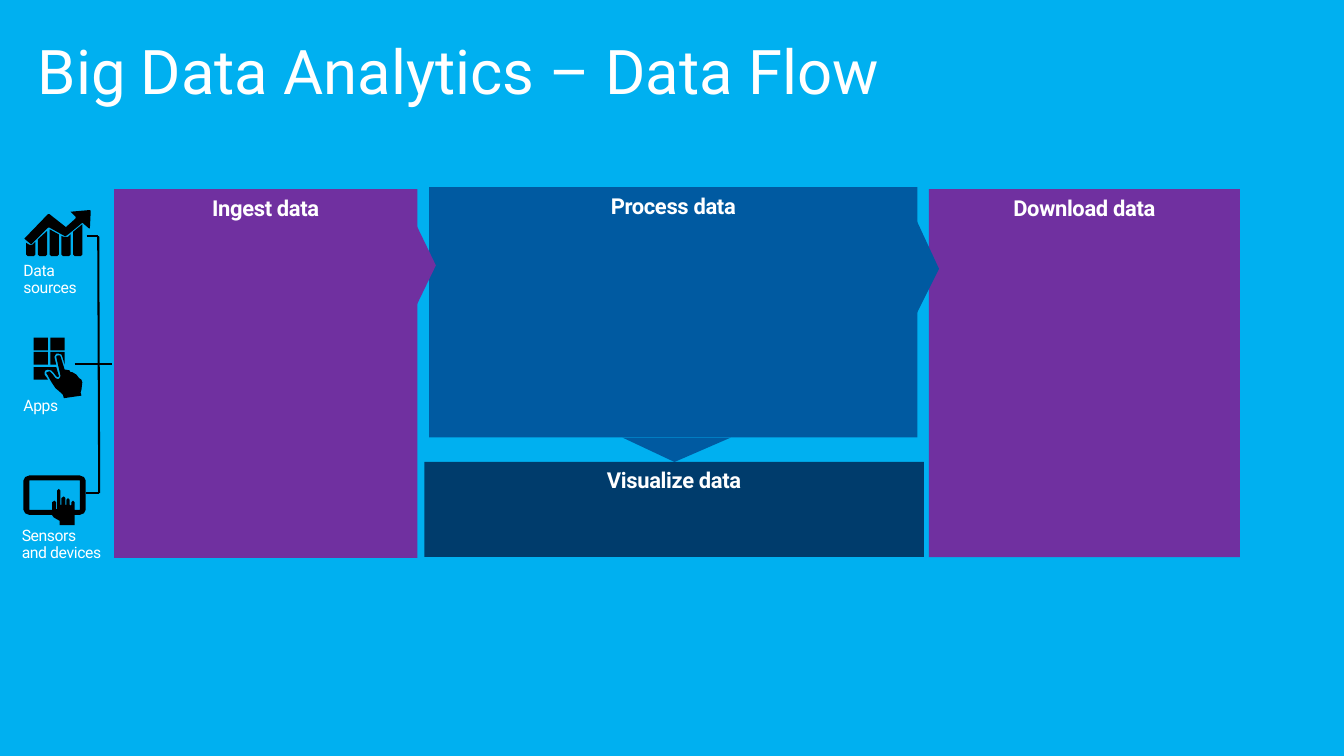
"""Build the big data analytics data flow slide."""
import copy

import pptx
import pptx.dml.color
import pptx.enum.shapes
import pptx.enum.text
import pptx.oxml
import pptx.oxml.ns
import pptx.util

Cm = pptx.util.Cm
Pt = pptx.util.Pt
SHAPES = pptx.enum.shapes.MSO_SHAPE
ANCHOR = pptx.enum.text.MSO_ANCHOR
ALIGN = pptx.enum.text.PP_ALIGN

COLORS = {
    "background": "00B0F0",
    "purple": "7030A0",
    "blue": "005AA1",
    "navy": "003C6C",
    "white": "FFFFFF",
    "black": "000000",
}

TITLE = {
    "font": {"size": Pt(52.8)},
    "paragraph": {"line_spacing": 0.9},
    "frame": {"word_wrap": True, "vertical_anchor": ANCHOR.MIDDLE},
}
HEADING = {
    "font": {"size": Pt(18.8), "bold": True},
    "paragraph": {"alignment": ALIGN.CENTER},
    "frame": {
        "word_wrap": True, "vertical_anchor": ANCHOR.TOP,
        "margin_left": Cm(0.05), "margin_right": Cm(0.05),
        "margin_top": Cm(0.15), "margin_bottom": Cm(0.3),
    },
    "spacing": "-30",
}
LABEL = {
    "font": {"size": Pt(13.5)},
    "paragraph": {"line_spacing": 0.9, "space_after": Pt(7.1)},
    "frame": {
        "word_wrap": True,
        "auto_size": pptx.enum.text.MSO_AUTO_SIZE.SHAPE_TO_FIT_TEXT,
        "margin_left": Cm(0.61), "margin_right": Cm(0.61),
        "margin_top": Cm(0.48), "margin_bottom": Cm(0.48),
    },
    "spacing": "-30",
}

LABELS = [
    ("Data\vsources", (0.1, 7.47, 4.04, 2.01)),
    ("Apps", (0.1, 11.76, 4.04, 1.47)),
    ("Sensors\vand devices", (0.05, 15.47, 5.08, 2.01)),
]
LINES = [
    (2.97, 7.14, 3, 14.91),
    (2.62, 7.14, 2.95, 7.14),
    (2.26, 11.02, 3.38, 11.02),
    (2.59, 14.91, 3, 14.91),
]

ICON_SCALE = Cm(2.54) / 100
BAR_TOPS = [
    [(42, 288), (39, 291), (37, 292), (34, 291), (31, 289)],
    [(56, 275), (45, 285)],
    [(70, 279), (59, 273)],
    [(84, 279), (81, 282), (78, 282), (76, 282), (73, 281)],
    [(98, 267), (87, 276)],
]
TREND_ARROW = [
    (107, 250), (85, 252), (84, 252), (90, 258), (90, 260), (80, 269),
    (79, 270), (78, 270), (59, 255), (57, 255), (30, 283), (29, 284),
    (30, 285), (36, 290), (37, 291), (38, 290), (57, 271), (58, 271),
    (59, 271), (77, 281), (78, 281), (80, 280), (97, 266), (98, 265),
    (99, 266), (106, 272), (107, 272), (108, 251),
]
APP_HAND = [
    (86, 443), (84, 443), (83, 441), (78, 440), (77, 440), (72, 424),
    (71, 423), (69, 423), (67, 424), (67, 425), (72, 447), (72, 448),
    (71, 450), (70, 451), (68, 451), (66, 450), (63, 446), (61, 444),
    (59, 442), (56, 443), (55, 444), (57, 447), (59, 451), (62, 456),
    (66, 462), (73, 468), (75, 470), (76, 474), (97, 471), (96, 467),
    (97, 464), (98, 455), (97, 452), (94, 450), (91, 446),
]
CUT_KEYS = [
    [(67, 434), (60, 434), (60, 419), (77, 419), (77, 434), (74, 424),
     (73, 422), (70, 421), (67, 421), (65, 424), (65, 426)],
    [(57, 452), (40, 452), (40, 437), (67, 437), (70, 447), (70, 448),
     (69, 449), (67, 448), (64, 444), (61, 441), (57, 440), (54, 441),
     (53, 443), (53, 446), (56, 450)],
]
TABLET = [
    (95, 566), (35, 566), (30, 568), (28, 572), (28, 607), (30, 611),
    (35, 613), (62, 613), (64, 616), (71, 620), (71, 625), (89, 625),
    (89, 613), (95, 613), (100, 611), (102, 607), (102, 572), (100, 568),
]
SCREEN = [
    (95, 607), (89, 607), (89, 598), (87, 596), (85, 598), (85, 601),
    (84, 602), (83, 601), (83, 595), (81, 593), (79, 595), (79, 601),
    (78, 601), (78, 593), (76, 591), (73, 593), (73, 601), (72, 601),
    (72, 584), (70, 582), (68, 584), (68, 606), (67, 606), (67, 598),
    (65, 596), (62, 598), (62, 607), (35, 607), (35, 572), (95, 572),
]


def color(name):
    """Return the named colour."""
    return pptx.dml.color.RGBColor.from_string(COLORS[name])


def apply(target, values):
    """Set each attribute in values on the target."""
    for name, value in values.items():
        setattr(target, name, value)


def paint(shape, fill_name):
    """Give the shape a flat fill without line or shadow."""
    shape.shadow.inherit = False
    shape.fill.solid()
    shape.fill.fore_color.rgb = color(fill_name)
    shape.line.fill.background()


def write(shape, text, style):
    """Write one formatted paragraph into the shape."""
    apply(shape.text_frame, style["frame"])
    paragraph = shape.text_frame.paragraphs[0]
    paragraph.text = text
    apply(paragraph, style["paragraph"])
    for run in paragraph.runs:
        apply(run.font, {"name": "Roboto", **style["font"]})
        run.font.color.rgb = color("white")
        properties = run._r.get_or_add_rPr()
        properties.set("spc", style.get("spacing", "0"))
    for line_break in paragraph._p.findall(pptx.oxml.ns.qn("a:br")):
        line_break.append(copy.deepcopy(properties))


def add_text(slide, text, box, style):
    """Add a text box."""
    write(slide.shapes.add_textbox(*map(Cm, box)), text, style)


def add_panel(slide, text, box, fill_name):
    """Add a filled rectangle with a heading."""
    panel = slide.shapes.add_shape(SHAPES.RECTANGLE, *map(Cm, box))
    paint(panel, fill_name)
    write(panel, text, HEADING)


def add_pointer(slide, box, rotation, fill_name, peak=0.5):
    """Add a triangle that points to the next panel."""
    pointer = slide.shapes.add_shape(SHAPES.ISOSCELES_TRIANGLE, *map(Cm, box))
    pointer.adjustments[0] = peak
    pointer.rotation = rotation
    paint(pointer, fill_name)


def add_line(slide, ends):
    """Add a straight black line."""
    line = slide.shapes.add_connector(
        pptx.enum.shapes.MSO_CONNECTOR.STRAIGHT, *map(Cm, ends))
    line.line.color.rgb = color("black")
    line.line.width = Pt(1.75)
    line._element.spPr.append(pptx.oxml.parse_xml(
        f'<a:effectLst {pptx.oxml.ns.nsdecls("a")}/>'))


def add_icon(slide, outlines):
    """Add one black freeform made of closed outlines."""
    builder = slide.shapes.build_freeform(*outlines[0][0], scale=ICON_SCALE)
    builder.add_line_segments(outlines[0][1:], close=True)
    for outline in outlines[1:]:
        builder.move_to(*outline[0])
        builder.add_line_segments(outline[1:], close=True)
    paint(builder.convert_to_shape(), "black")


def chart_bar(left, top):
    """Return a bar outline with clipped lower corners."""
    return top + [(left, 303), (left + 2, 305), (left + 9, 305), (left + 11, 303)]


def app_key(left, top):
    """Return the outline of one whole key."""
    return [(left, top), (left + 17, top), (left + 17, top + 15), (left, top + 15)]


def main():
    """Create and save the slide."""
    presentation = pptx.Presentation()
    presentation.slide_width, presentation.slide_height = Cm(40.64), Cm(22.86)
    slide = presentation.slides.add_slide(presentation.slide_layouts[6])
    slide.background.fill.solid()
    slide.background.fill.fore_color.rgb = color("background")

    add_panel(slide, "Download data", (28.09, 5.72, 9.4, 11.13), "purple")
    add_text(slide, "Big Data Analytics – Data Flow", (0.89, 0.74, 38.84, 3), TITLE)
    for ends in LINES:
        add_line(slide, ends)
    bars = [chart_bar(31 + 14 * index, top) for index, top in enumerate(BAR_TOPS)]
    keys = [app_key(*corner) for corner in [(40, 402), (60, 402), (40, 419)]]
    for outlines in (bars + [TREND_ARROW], [APP_HAND] + keys + CUT_KEYS, [TABLET, SCREEN]):
        add_icon(slide, outlines)
    for text, box in LABELS:
        add_text(slide, text, box, LABEL)
    add_panel(slide, "Ingest data", (3.45, 5.72, 9.17, 11.15), "purple")
    add_pointer(slide, (26.49, 7.7, 3.07, 0.74), 90, "blue", 0.52)
    add_panel(slide, "Visualize data", (12.83, 13.97, 15.11, 2.87), "navy")
    add_panel(slide, "Process data", (12.98, 5.66, 14.76, 7.57), "blue")
    add_pointer(slide, (18.82, 13.23, 3.28, 0.74), 180, "blue", 0.52)
    add_pointer(slide, (11.1, 7.62, 3.35, 0.81), 90, "purple")
    presentation.save("out.pptx")


if __name__ == "__main__":
    main()
